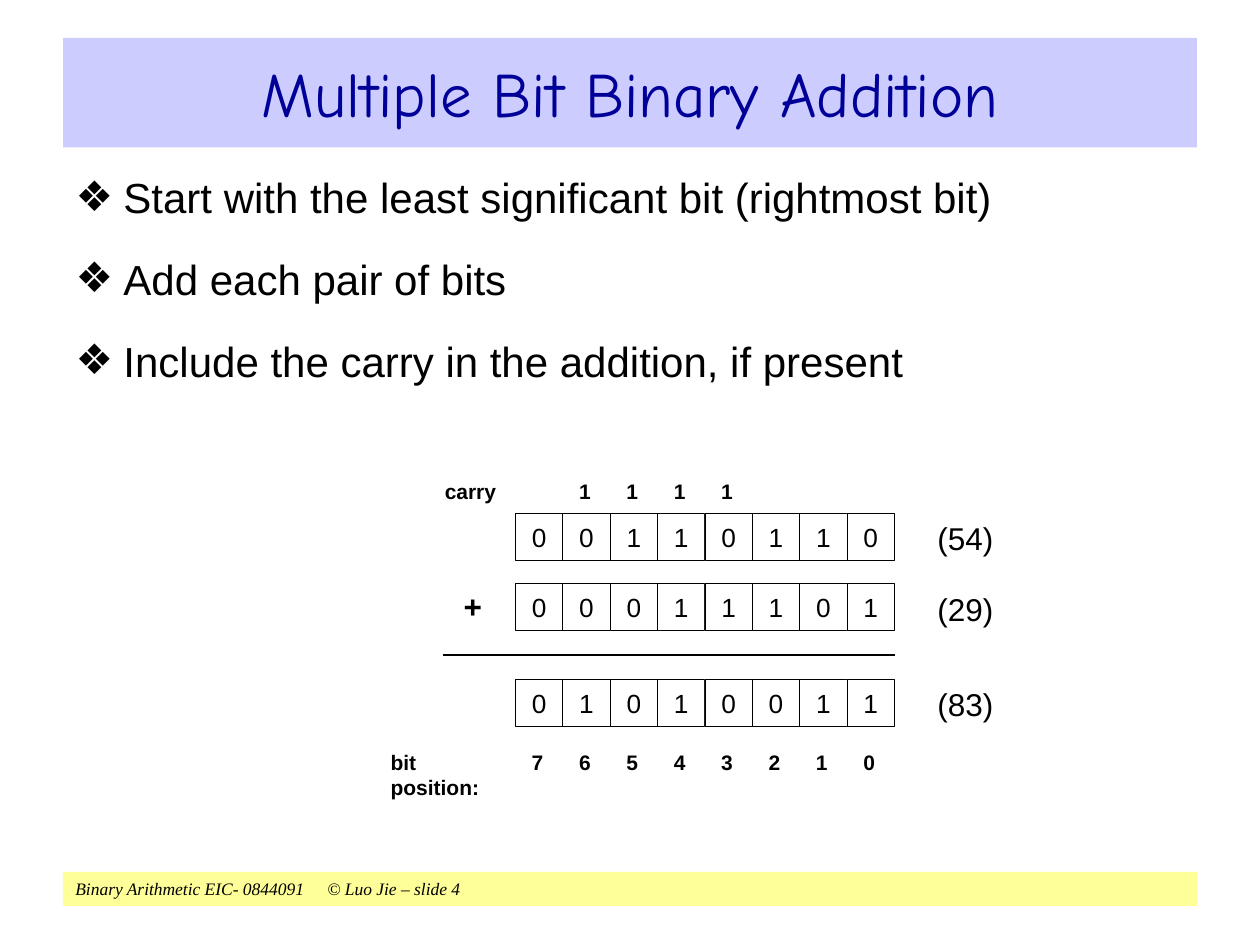
from lxml.etree import SubElement
from pptx import Presentation
from pptx.dml.color import RGBColor
from pptx.enum.shapes import MSO_CONNECTOR, MSO_SHAPE
from pptx.enum.text import MSO_ANCHOR, MSO_AUTO_SIZE, PP_ALIGN
from pptx.oxml.ns import qn
from pptx.util import Inches, Pt

BLACK = RGBColor(0x00, 0x00, 0x00)
WHITE = RGBColor(0xFF, 0xFF, 0xFF)
NAVY = RGBColor(0x00, 0x00, 0x99)
LAVENDER = RGBColor(0xCC, 0xCC, 0xFF)
YELLOW = RGBColor(0xFF, 0xFF, 0x99)

CELL = 0.376
GRID_LEFT = 4.09


def write(paragraph, text, size, name="Arial", color=BLACK, bold=False):
    paragraph.text = text
    font = paragraph.font
    font.size = Pt(size)
    font.name = name
    font.bold = bold
    font.color.rgb = color


def add_label(text, left, top, width, size, bold=False):
    box = page.shapes.add_textbox(
        Inches(left), Inches(top), Inches(width), Inches(size / 60))
    frame = box.text_frame
    frame.margin_left = frame.margin_right = 0
    frame.margin_top = frame.margin_bottom = 0
    frame.word_wrap = False
    write(frame.paragraphs[0], text, size, bold=bold)


deck = Presentation()
deck.slide_width, deck.slide_height = Inches(10), Inches(7.5)
page = deck.slides.add_slide(deck.slide_layouts[1])

footer = page.shapes.add_shape(
    MSO_SHAPE.RECTANGLE, Inches(0.5), Inches(6.92), Inches(9), Inches(0.27))
footer.shadow.inherit = False
footer.fill.solid()
footer.fill.fore_color.rgb = YELLOW
footer.line.fill.background()
footer.text_frame.vertical_anchor = MSO_ANCHOR.MIDDLE
footer_line = footer.text_frame.paragraphs[0]
footer_line.alignment = PP_ALIGN.LEFT
tabs = SubElement(footer_line._p.get_or_add_pPr(), qn("a:tabLst"))
SubElement(tabs, qn("a:tab"), pos=str(Inches(2)), algn="l")
write(footer_line, "Binary Arithmetic EIC- 0844091\t© Luo Jie – slide 4",
      10, "Times New Roman")
footer_line.font.italic = True

title = page.shapes.title
title.left, title.top = Inches(0.5), Inches(0.3)
title.width, title.height = Inches(9), Inches(0.87)
title.fill.solid()
title.fill.fore_color.rgb = LAVENDER
title.text_frame.auto_size = MSO_AUTO_SIZE.NONE
title.text_frame.vertical_anchor = MSO_ANCHOR.MIDDLE
write(title.text_frame.paragraphs[0], "Multiple Bit Binary Addition",
      36, "Comic Neue", NAVY)

body = page.placeholders[1]
body.left, body.top = Inches(0.5), Inches(1.31)
body.width, body.height = Inches(9), Inches(2.06)
body.text_frame.auto_size = MSO_AUTO_SIZE.NONE
steps = [
    "Start with the least significant bit (rightmost bit)",
    "Add each pair of bits",
    "Include the carry in the addition, if present",
]
body.text_frame.text = "\n".join(steps)
for paragraph, step in zip(body.text_frame.paragraphs, steps):
    properties = paragraph._p.get_or_add_pPr()
    properties.set("marL", str(Inches(0.38)))
    properties.set("indent", str(-Inches(0.38)))
    SubElement(properties, qn("a:buChar"), char="❖")
    paragraph.space_before = Pt(18)
    write(paragraph, step, 24)

rows = [("00110110", "(54)", 4.07), ("00011101", "(29)", 4.63), ("01010011", "(83)", 5.39)]
for bits, value, top in rows:
    for column, bit in enumerate(bits):
        cell = page.shapes.add_shape(
            MSO_SHAPE.RECTANGLE, Inches(GRID_LEFT + column * CELL), Inches(top),
            Inches(CELL), Inches(CELL))
        cell.shadow.inherit = False
        cell.fill.solid()
        cell.fill.fore_color.rgb = WHITE
        cell.line.color.rgb = BLACK
        cell.line.width = Pt(0.37)
        frame = cell.text_frame
        frame.margin_left = frame.margin_right = 0
        frame.margin_top = frame.margin_bottom = 0
        frame.vertical_anchor = MSO_ANCHOR.MIDDLE
        frame.paragraphs[0].alignment = PP_ALIGN.CENTER
        write(frame.paragraphs[0], bit, 15)
    add_label(value, 7.44, top + 0.05, 0.45, 18)

add_label("+", 3.68, 4.66, 0.15, 18, bold=True)
add_label("carry", 3.53, 3.8, 0.51, 12, bold=True)
add_label("bit position:", 3.1, 5.95, 0.95, 12, bold=True)
for column in range(8):
    left = GRID_LEFT + 0.13 + column * CELL
    add_label(str(7 - column), left, 5.95, 0.09, 12, bold=True)
    if 1 <= column <= 4:
        add_label("1", left, 3.8, 0.09, 12, bold=True)

sum_line = page.shapes.add_connector(
    MSO_CONNECTOR.STRAIGHT, Inches(3.52), Inches(5.2), Inches(7.1), Inches(5.2))
sum_line.line.color.rgb = BLACK
sum_line.line.width = Pt(1.13)
SubElement(sum_line._element.spPr, qn("a:effectLst"))

deck.save("out.pptx")
